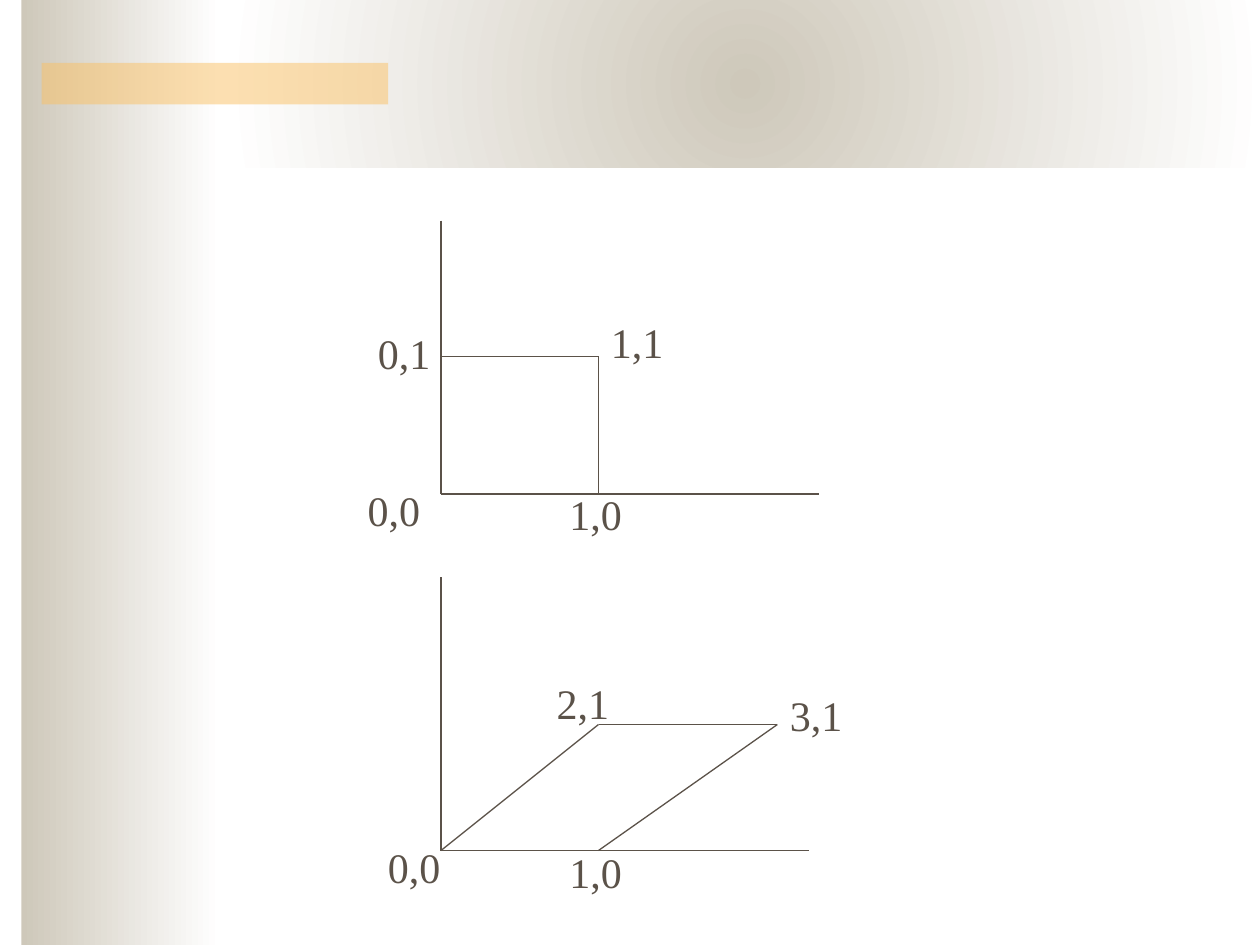
from lxml import etree
from pptx import Presentation
from pptx.dml.color import RGBColor
from pptx.enum.shapes import MSO_CONNECTOR, MSO_SHAPE
from pptx.oxml.ns import qn
from pptx.util import Inches, Pt

RECT = MSO_SHAPE.RECTANGLE
STRAIGHT = MSO_CONNECTOR.STRAIGHT
INK = RGBColor(0x5B, 0x52, 0x49)
STONE = RGBColor(0xCE, 0xC8, 0xBA)
WHITE = RGBColor(0xFF, 0xFF, 0xFF)
AMBER = RGBColor(0xFA, 0xC1, 0x64)
FONT = "Times New Roman"

# Each plot: polylines for the axes and the figure, then labels (text, left, top, width)
PLOTS = [
    {  # unit square
        "axes": [(3.5, 1.75), (3.5, 3.92), (6.5, 3.92)],
        "figure": [(3.5, 2.83), (4.75, 2.83), (4.75, 3.92)],
        "labels": [("0,0", 2.82, 3.8, 0.62), ("1,0", 4.42, 3.83, 0.67),
                   ("0,1", 2.9, 2.55, 0.62), ("1,1", 4.75, 2.46, 0.75)],
    },
    {  # sheared square
        "axes": [(3.5, 4.58), (3.5, 6.75), (6.42, 6.75)],
        "figure": [(3.5, 6.75), (4.75, 5.75), (6.17, 5.75), (4.75, 6.75)],
        "labels": [("2,1", 4.32, 5.33, 0.62), ("3,1", 6.17, 5.42, 0.67),
                   ("0,0", 2.98, 6.63, 0.62), ("1,0", 4.42, 6.67, 0.75)],
    },
]


def add_rect(s, *box):
    sp = s.shapes.add_shape(RECT, *map(Inches, box))
    sp.shadow.inherit = False
    sp.line.fill.background()
    return sp


def add_gradient(s, *box):
    sp = add_rect(s, *box)
    sp.fill.gradient()
    sp.fill.gradient_angle = 0
    for stop, color, position in zip(sp.fill.gradient_stops, (STONE, WHITE), (0, 1)):
        stop.color.rgb = color
        stop.position = position
    return sp


def add_polyline(s, points):
    for start, end in zip(points, points[1:]):
        line = s.shapes.add_connector(STRAIGHT, *map(Inches, start + end))
        line.line.color.rgb = INK
        line.line.width = Pt(0.75)
        etree.SubElement(line._element.spPr, qn("a:effectLst"))


def add_text(s, text, left, top, width, height=0.5, size=24, font=FONT, color=INK):
    box = s.shapes.add_textbox(*map(Inches, (left, top, width, height)))
    tf = box.text_frame
    tf.word_wrap = False
    r = tf.paragraphs[0].add_run()
    r.text = text
    r.font.size = Pt(size)
    r.font.name = font
    r.font.color.rgb = color


prs = Presentation()
prs.slide_width, prs.slide_height = Inches(10), Inches(7.5)
s = prs.slides.add_slide(prs.slide_layouts[6])

# Left band
add_gradient(s, 0.17, 0, 1.58, 7.5)

# Top band, shaded outwards from its centre
header = add_gradient(s, 1.83, 0, 8.17, 1.33)
grad = header._element.spPr.find(qn("a:gradFill"))
grad.remove(grad.find(qn("a:lin")))
radial = etree.SubElement(grad, qn("a:path"), {"path": "circle"})
etree.SubElement(radial, qn("a:fillToRect"), dict.fromkeys("ltrb", "50000"))

# Half-transparent accent bar
accent = add_rect(s, 0.33, 0.5, 2.75, 0.33)
accent.fill.solid()
accent.fill.fore_color.rgb = AMBER
rgb = accent._element.spPr.find(qn("a:solidFill")).find(qn("a:srgbClr"))
etree.SubElement(rgb, qn("a:alpha"), val="50000")

# Plots
for plot in PLOTS:
    add_polyline(s, plot["axes"])
    add_polyline(s, plot["figure"])
    for label in plot["labels"]:
        add_text(s, *label)

prs.save("out.pptx")
